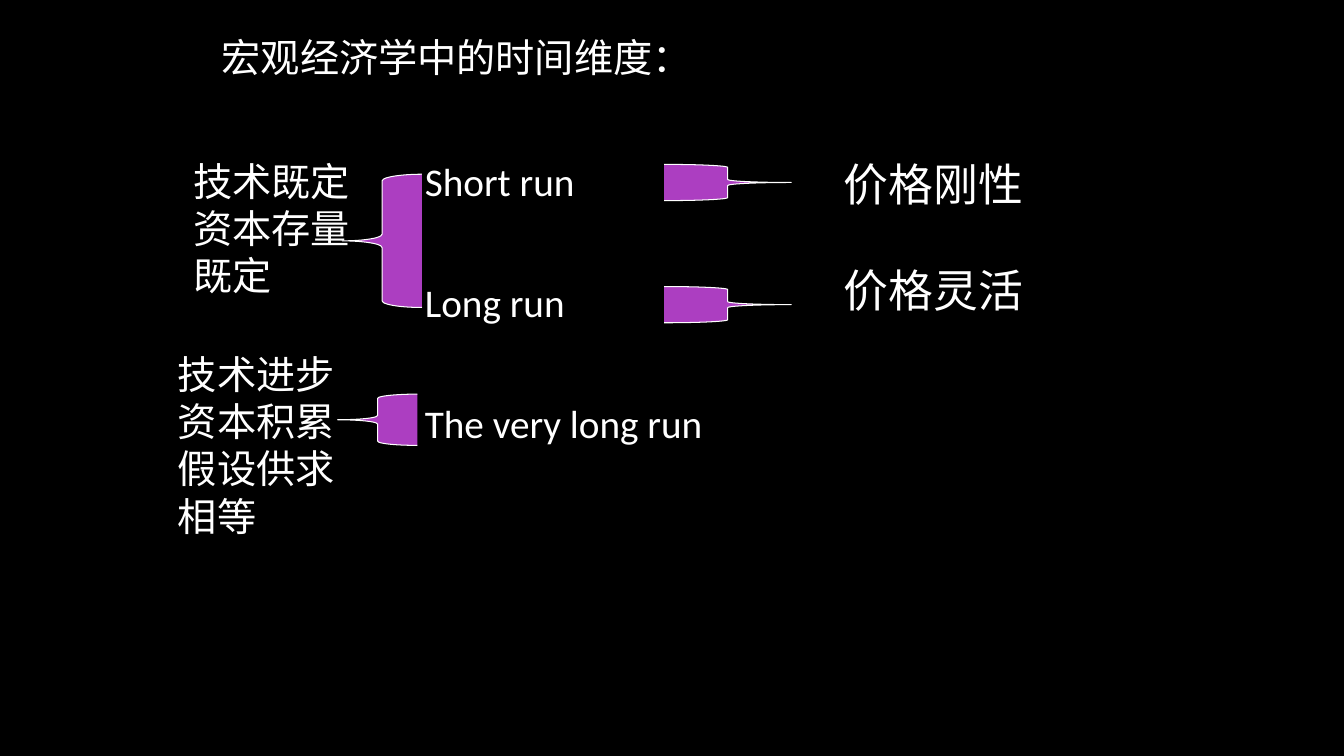
from dataclasses import dataclass

from lxml.etree import SubElement
from pptx import Presentation
from pptx.dml.color import RGBColor
from pptx.enum.shapes import MSO_SHAPE
from pptx.enum.text import MSO_ANCHOR, MSO_AUTO_SIZE, PP_ALIGN
from pptx.oxml.ns import qn
from pptx.util import Inches, Pt


@dataclass(frozen=True)
class Theme:
    background: RGBColor = RGBColor(0x00, 0x00, 0x00)
    ink: RGBColor = RGBColor(0xFF, 0xFF, 0xFF)
    brace: RGBColor = RGBColor(0xAC, 0x3E, 0xC1)
    latin: str = "Calibri"
    serif: str = "Times New Roman"
    body_size: Pt = Pt(28)
    price_size: Pt = Pt(32)
    brace_line: Pt = Pt(0.75)
    horizon_gap: Pt = Pt(53)


THEME = Theme()


@dataclass(frozen=True)
class Box:
    left: int
    top: int
    width: int
    height: int

    def inner(self, left, top, width, height):
        """Return an inner box given in percent of this one."""
        return Box(
            round(self.left + self.width * left / 100),
            round(self.top + self.height * top / 100),
            round(self.width * width / 100),
            round(self.height * height / 100),
        )

    def place(self, shape):
        shape.left, shape.top = self.left, self.top
        shape.width, shape.height = self.width, self.height


def write(shape, lines, size, font, gap=Pt(0)):
    """Fill a shape with plain left-aligned paragraphs."""
    frame = shape.text_frame
    frame.word_wrap = True
    frame.auto_size = MSO_AUTO_SIZE.NONE
    frame.vertical_anchor = MSO_ANCHOR.TOP
    frame.text = "\n".join(lines)
    for index, para in enumerate(frame.paragraphs):
        properties = para._p.get_or_add_pPr()
        properties.set("marL", "0")
        properties.set("indent", "0")
        SubElement(properties, qn("a:buNone"))
        para.alignment = PP_ALIGN.LEFT
        para.space_before = gap if index else Pt(0)
        para.font.size = size
        para.font.name = font
        para.font.color.rgb = THEME.ink


def add_text(page, box, lines, size):
    shape = page.shapes.add_textbox(box.left, box.top, box.width, box.height)
    write(shape, lines, size, THEME.serif)


def add_brace(page, box, kind):
    brace = page.shapes.add_shape(kind, box.left, box.top, box.width, box.height)
    brace.shadow.inherit = False
    brace.fill.solid()
    brace.fill.fore_color.rgb = THEME.brace
    brace.line.color.rgb = THEME.ink
    brace.line.width = THEME.brace_line


def add_heading(page, box):
    title = page.shapes.title
    box.place(title)
    write(title, ["宏观经济学中的时间维度："], THEME.body_size, THEME.latin)


def add_horizons(page, box):
    body = page.placeholders[1]
    box.place(body)
    horizons = ["Short run", "Long run", "The very long run"]
    write(body, horizons, THEME.body_size, THEME.latin, THEME.horizon_gap)


def add_conditions(page, box):
    """Assumptions on the left, each with the brace that gathers its runs."""
    groups = [
        (["技术既定", "资本存量既定"], (1.7, 0, 23.7, 38.6), (19.2, 5.6, 8.8, 33.8)),
        (["技术进步", "资本积累", "假设供求相等"], (0, 49.1, 23.7, 50.9), (18.7, 61.4, 8.8, 13)),
    ]
    for lines, text_area, brace_area in groups:
        add_brace(page, box.inner(*brace_area), MSO_SHAPE.LEFT_BRACE)
        add_text(page, box.inner(*text_area), lines, THEME.body_size)


def add_prices(page, box):
    """Price behaviour on the right, one row for each of the first two runs."""
    brace_pitch, text_pitch = 31, 26.9
    for row, label in enumerate(["价格刚性", "价格灵活"]):
        brace_box = box.inner(54.7, 3.1 + row * brace_pitch, 14, 9.2)
        add_brace(page, brace_box, MSO_SHAPE.RIGHT_BRACE)
        text_box = box.inner(73.4, row * text_pitch, 26.4, 16.4)
        add_text(page, text_box, [label], THEME.price_size)


def add_time_slide(deck):
    page = deck.slides.add_slide(deck.slide_layouts[1])
    page.background.fill.solid()
    page.background.fill.fore_color.rgb = THEME.background
    whole = Box(0, 0, deck.slide_width, deck.slide_height)
    diagram = whole.inner(12.5, 20.13, 67.5, 52.13)

    add_heading(page, whole.inner(15.75, 3.73, 67.35, 8))
    add_horizons(page, diagram.inner(27.2, 0, 35, 80))
    add_conditions(page, diagram)
    add_prices(page, diagram)


def main():
    deck = Presentation()
    deck.slide_width, deck.slide_height = Inches(13.33), Inches(7.5)
    add_time_slide(deck)
    deck.save("out.pptx")


if __name__ == "__main__":
    main()
